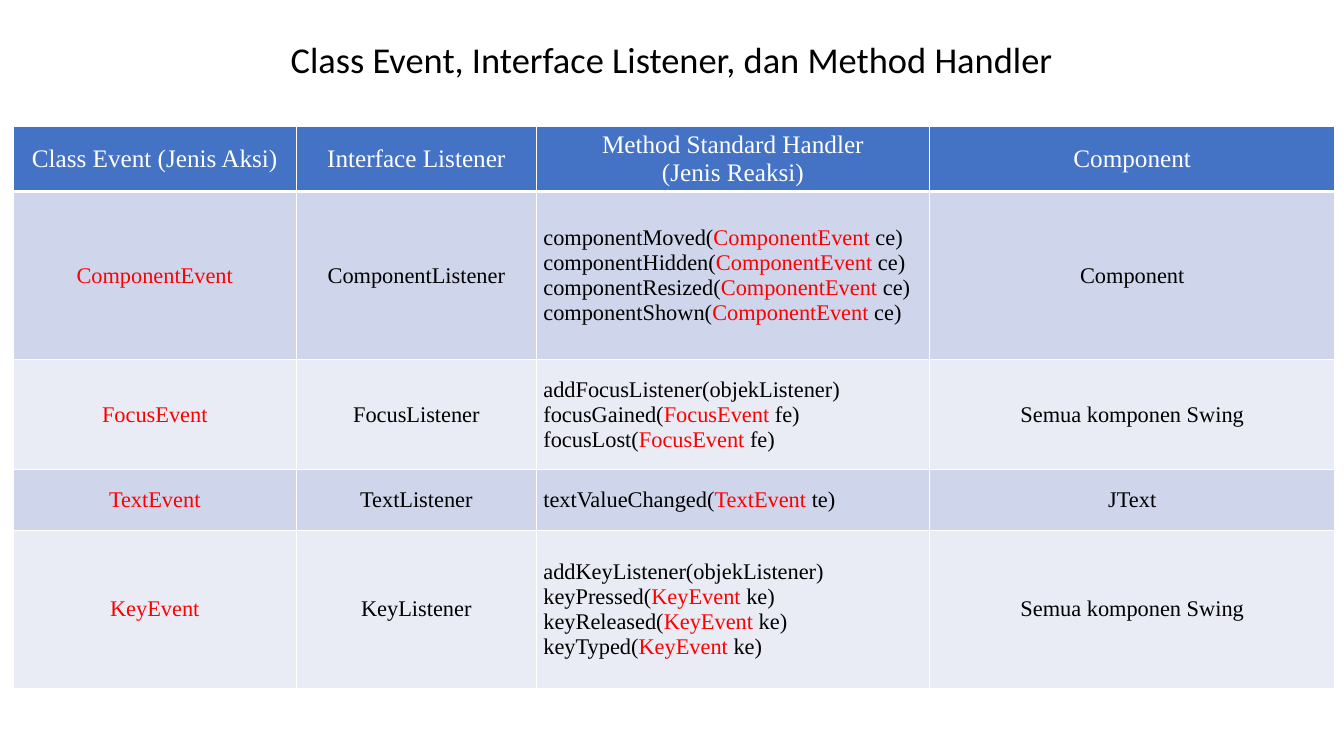
from dataclasses import dataclass

from lxml import etree
from pptx import Presentation
from pptx import util as u
from pptx.dml.color import RGBColor
from pptx.enum import text as t
from pptx.oxml.ns import qn


@dataclass(frozen=True)
class Theme:
    title_font: str = "Calibri"
    table_font: str = "Times New Roman"
    title_size: int = 26
    header_size: int = 18
    body_size: int = 16
    ink: str = "000000"
    paper: str = "FFFFFF"
    event: str = "FF0000"
    header_fill: str = "4472C4"
    bands: tuple = ("CFD5EA", "E9EBF5")


THEME = Theme()
WIDTH, HEIGHT = 13.33, 7.5
COLUMNS = (2.81, 2.38, 3.9, 4.02)
ROWS = (0.65, 1.67, 1.09, 0.6, 1.57)
TABLE_LEFT, TABLE_TOP = 0.13, 1.25

TITLE = "Class Event, Interface Listener, dan Method Handler"
HEADERS = (
    "Class Event (Jenis Aksi)",
    "Interface Listener",
    "Method Standard Handler\n(Jenis Reaksi)",
    "Component",
)
EVENTS = (
    ("ComponentEvent", "ComponentListener",
     "componentMoved(ComponentEvent ce)\ncomponentHidden(ComponentEvent ce)\n"
     "componentResized(ComponentEvent ce)\ncomponentShown(ComponentEvent ce)",
     "Component"),
    ("FocusEvent", "FocusListener",
     "addFocusListener(objekListener)\nfocusGained(FocusEvent fe)\n"
     "focusLost(FocusEvent fe)",
     "Semua komponen Swing"),
    ("TextEvent", "TextListener", "textValueChanged(TextEvent te)", "JText"),
    ("KeyEvent", "KeyListener",
     "addKeyListener(objekListener)\nkeyPressed(KeyEvent ke)\n"
     "keyReleased(KeyEvent ke)\nkeyTyped(KeyEvent ke)",
     "Semua komponen Swing"),
)


def split_event(line, event):
    """Cut a line into (words, is_event) pieces around the event's name."""
    if not event:
        return [(line, False)]
    before, name, after = line.partition(event)
    pieces = ((before, False), (name, True), (after, False))
    return [piece for piece in pieces if piece[0]]


def write(frame, words, *, font, size, color, align=t.PP_ALIGN.CENTER,
          spacing=None, event=None):
    """Write one paragraph a line, with the event's name in its own colour."""
    for index, line in enumerate(words.split("\n")):
        paragraph = frame.add_paragraph() if index else frame.paragraphs[0]
        paragraph.alignment = align
        if spacing:
            paragraph.line_spacing = spacing
        for piece, is_event in split_event(line, event):
            run = paragraph.add_run()
            run.text = piece
            run.font.name = font
            run.font.size = u.Pt(size)
            run.font.bold = False
            run.font.color.rgb = RGBColor.from_string(
                THEME.event if is_event else color)


def add_borders(cell, bottom=1):
    """Put white lines around a cell; they must come before its fill."""
    properties = cell._tc.get_or_add_tcPr()
    for position, (edge, width) in enumerate(
            (("lnL", 1), ("lnR", 1), ("lnT", 1), ("lnB", bottom))):
        line = etree.Element(qn(f"a:{edge}"), w=str(u.Pt(width)))
        fill = etree.SubElement(line, qn("a:solidFill"))
        etree.SubElement(fill, qn("a:srgbClr"), val=THEME.paper)
        properties.insert(position, line)


def fill_cell(cell, words, fill, *, bottom=1, **format):
    cell.fill.solid()
    cell.fill.fore_color.rgb = RGBColor.from_string(fill)
    add_borders(cell, bottom)
    cell.vertical_anchor = t.MSO_ANCHOR.MIDDLE
    cell.margin_left = cell.margin_right = u.Inches(0.07)
    cell.margin_top = cell.margin_bottom = 0
    write(cell.text_frame, words, font=THEME.table_font, **format)


def add_title(slide):
    width = 9.5
    box = slide.shapes.add_textbox(
        u.Inches((WIDTH - width) / 2), u.Inches(HEIGHT * 0.04),
        u.Inches(width), u.Inches(0.62))
    frame = box.text_frame
    frame.word_wrap = True
    frame.vertical_anchor = t.MSO_ANCHOR.MIDDLE
    write(frame, TITLE, font=THEME.title_font, size=THEME.title_size,
          color=THEME.ink, spacing=0.9)


def add_event_table(slide):
    table = slide.shapes.add_table(
        len(ROWS), len(COLUMNS), u.Inches(TABLE_LEFT), u.Inches(TABLE_TOP),
        u.Inches(sum(COLUMNS)), u.Inches(sum(ROWS))).table
    for column, width in zip(table.columns, COLUMNS):
        column.width = u.Inches(width)
    for row, height in zip(table.rows, ROWS):
        row.height = u.Inches(height)

    for column, heading in enumerate(HEADERS):
        fill_cell(table.cell(0, column), heading, THEME.header_fill, bottom=3,
                  size=THEME.header_size, color=THEME.paper)
    for row, entry in enumerate(EVENTS, start=1):
        band = THEME.bands[(row - 1) % len(THEME.bands)]
        for column, words in enumerate(entry):
            is_method = column == 2
            fill_cell(table.cell(row, column), words, band,
                      size=THEME.body_size, color=THEME.ink,
                      align=t.PP_ALIGN.LEFT if is_method else t.PP_ALIGN.CENTER,
                      event=entry[0] if column in (0, 2) else None)


def main():
    deck = Presentation()
    deck.slide_width, deck.slide_height = u.Inches(WIDTH), u.Inches(HEIGHT)
    slide = deck.slides.add_slide(deck.slide_layouts[6])
    add_event_table(slide)
    add_title(slide)
    deck.save("out.pptx")


if __name__ == "__main__":
    main()
